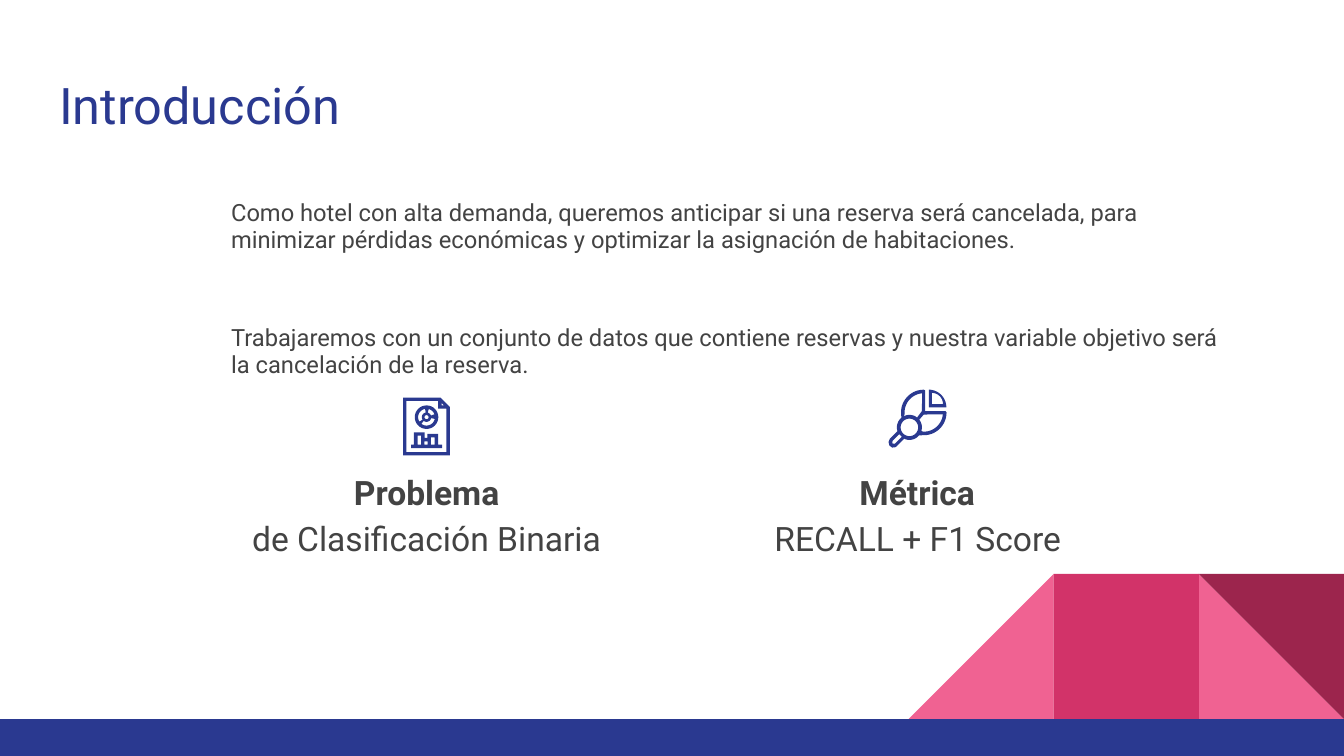
from math import cos, radians, sin

from lxml import etree
from pptx import Presentation
from pptx.dml.color import RGBColor
from pptx.enum.shapes import MSO_SHAPE
from pptx.enum.text import MSO_ANCHOR, MSO_AUTO_SIZE, PP_ALIGN
from pptx.oxml.ns import qn
from pptx.util import Pt

BLUE = RGBColor(0x2A, 0x39, 0x90)
GRAY = RGBColor(0x43, 0x43, 0x43)
PINK = RGBColor(0xF0, 0x62, 0x92)
ROSE = RGBColor(0xD2, 0x33, 0x69)
WINE = RGBColor(0x9C, 0x25, 0x4D)
FONT = "Roboto"
W, H = 720, 405


def paint(sp, color):
    sp.shadow.inherit = False
    sp.fill.solid()
    sp.fill.fore_color.rgb = color
    sp.line.fill.background()


def write(sp, box, paragraphs, size, color=GRAY, bold=False,
          align=PP_ALIGN.LEFT, spacing=1.0, before=0, after=0):
    """Place a text shape and fill it; 'before' applies from the second paragraph on."""
    sp.left, sp.top, sp.width, sp.height = (Pt(v) for v in box)
    tf = sp.text_frame
    tf.word_wrap = True
    tf.auto_size = MSO_AUTO_SIZE.NONE
    tf.vertical_anchor = MSO_ANCHOR.TOP
    tf.margin_left = tf.margin_right = tf.margin_top = tf.margin_bottom = Pt(7.2)
    tf.text = "\n".join(paragraphs)
    for i, p in enumerate(tf.paragraphs):
        p.alignment = align
        p.line_spacing = spacing
        p.space_before = Pt(before if i else 0)
        p.space_after = Pt(after)
        pPr = p._p.get_or_add_pPr()
        pPr.set("marL", "0")
        pPr.set("indent", "0")
        etree.SubElement(pPr, qn("a:buNone"))
        for r in p.runs:
            r.font.name = FONT
            r.font.size = Pt(size)
            r.font.bold = bold
            r.font.color.rgb = color


def arc(cx, cy, radius, start, end, steps=16):
    """Points along an arc; angles in degrees, clockwise from the right."""
    angles = [radians(start + (end - start) * i / steps) for i in range(steps + 1)]
    return [(cx + radius * cos(a), cy + radius * sin(a)) for a in angles]


def circle(cx, cy, radius):
    return arc(cx, cy, radius, 0, 360, 32)


def rect(left, top, right, bottom):
    return [(left, top), (right, top), (right, bottom), (left, bottom)]


def outline(s, x, y, contours):
    """Draw one filled shape; the contours after the first are its holes."""
    contours = [[(Pt(x + px), Pt(y + py)) for px, py in c] for c in contours]
    builder = s.shapes.build_freeform(*contours[0][0], scale=1.0)
    for i, (start, *rest) in enumerate(contours):
        if i:
            builder.move_to(*start)
        builder.add_line_segments(rest, close=True)
    paint(builder.convert_to_shape(), BLUE)


def report_icon(s, x, y):
    cx, cy = 12.5, 10.5
    sectors = [arc(cx, cy, 4.5, a, b) + arc(cx, cy, 2.5, b, a)
               for a, b in ((-75, -20), (12, 128), (148, 260))]
    outline(s, x, y, [circle(cx, cy, 6.3), *sectors, circle(cx, cy, 1.1)])
    bars = [(4.3, 25.2), (5.8, 25.2), (5.8, 18.7), (11.5, 18.7), (11.5, 21.6),
            (13, 21.6), (13, 19.4), (18.7, 19.4), (18.7, 25.2), (20.9, 25.2),
            (20.9, 27), (4.3, 27)]
    outline(s, x, y, [bars, rect(7.7, 20.4, 9.6, 25.2), rect(11.4, 23.5, 13.1, 25.2),
                      rect(14.9, 21.3, 16.8, 25.2)])
    page = [(0, 0), (20, 0), (25, 5), (25, 31), (0, 31)]
    inside = [(1.8, 1.8), (18.8, 1.8), (18.8, 6), (23.2, 6), (23.2, 29.2), (1.8, 29.2)]
    fold = [(20.6, 2.9), (21.8, 4.2), (20.6, 4.2)]
    outline(s, x, y, [page, inside, fold])


def analysis_icon(s, x, y):
    pie, lens = (18.9, 12.2), (11.2, 20.2)
    handle = [(0.7, 26.3), (0, 28), (0.5, 30), (2, 31), (3.8, 30.8), (8.6, 26)]
    body = (arc(*pie, 12.2, -90, -180) + arc(*lens, 6.7, -130, -198) + handle
            + arc(*lens, 6.7, 113, 40) + arc(*pie, 12.2, 92, 0)
            + [(30.6, 11.5), (19.7, 11.5), (19.7, 0.4)])
    left_slice = [(17.9, 11.5)] + arc(*lens, 6.7, -52, -118) + arc(*pie, 10.3, 175, 265)
    low_slice = arc(*pie, 10.3, 6, 92) + arc(*lens, 6.7, 17, -38) + [(18.9, 13.3)]
    grip = [(5.8, 23.8), (7.2, 25.2), (3.4, 29), (2, 28.8), (2.2, 27.4)]
    outline(s, x, y, [body, left_slice, low_slice, circle(*lens, 4.7), grip])
    outline(s, x, y, [[(21.6, 9.4)] + arc(21.6, 9.4, 9.4, -90, 0),
                      [(23.2, 7.7)] + arc(23.2, 7.7, 6, -90, 0)])


def footer(s, top, tile):
    """Blue strip along the bottom with the folded ribbon above its right end."""
    left = W - 3 * tile
    for shape, column, rotation, color in (
            (MSO_SHAPE.RIGHT_TRIANGLE, 2, 0, PINK),
            (MSO_SHAPE.RIGHT_TRIANGLE, 0, 270, PINK),
            (MSO_SHAPE.RECTANGLE, 1, 0, ROSE),
            (MSO_SHAPE.RIGHT_TRIANGLE, 2, 180, WINE)):
        sp = s.shapes.add_shape(shape, Pt(left + column * tile), Pt(top - tile),
                                Pt(tile), Pt(tile))
        sp.rotation = rotation
        paint(sp, color)
    strip = s.shapes.add_shape(MSO_SHAPE.RECTANGLE, 0, Pt(top), Pt(W), Pt(H - top))
    paint(strip, BLUE)


def topic(heading, detail, heading_text, detail_text, x, y, detail_box):
    """Bold heading over a line of detail, both centred."""
    style = dict(size=18, align=PP_ALIGN.CENTER, spacing=1.15)
    write(heading, (x, y, 224, 36), [heading_text], bold=True, after=12, **style)
    write(detail, detail_box, [detail_text], **style)


def main():
    prs = Presentation()
    prs.slide_width, prs.slide_height = Pt(W), Pt(H)
    s = prs.slides.add_slide(prs.slide_layouts.get_by_name("Comparison"))
    title, intro, problem, problem_detail, metric = s.placeholders
    metric_detail = s.shapes.add_textbox(0, 0, Pt(236), Pt(36))

    footer(s, 385.2, 77.75)
    write(title, (24.5, 32.4, 671, 47.5), ["Introducción"], 27, BLUE)
    write(intro, (116.6, 100, 547.2, 81.4), [
        "Como hotel con alta demanda, queremos anticipar si una reserva será cancelada, "
        "para minimizar pérdidas económicas y optimizar la asignación de habitaciones.",
        "Trabajaremos con un conjunto de datos que contiene reservas y nuestra variable "
        "objetivo será la cancelación de la reserva.",
    ], 12.7, spacing=0.95, before=38)
    topic(problem, problem_detail, "Problema", "de Clasificación Binaria",
          116.6, 242.6, (116.6, 267.1, 224, 91.4))
    topic(metric, metric_detail, "Métrica", "RECALL + F1 Score",
          379.4, 242.6, (373.7, 267.1, 236, 36))
    report_icon(s, 216, 213)
    analysis_icon(s, 476, 208.8)
    prs.save("out.pptx")


if __name__ == "__main__":
    main()
